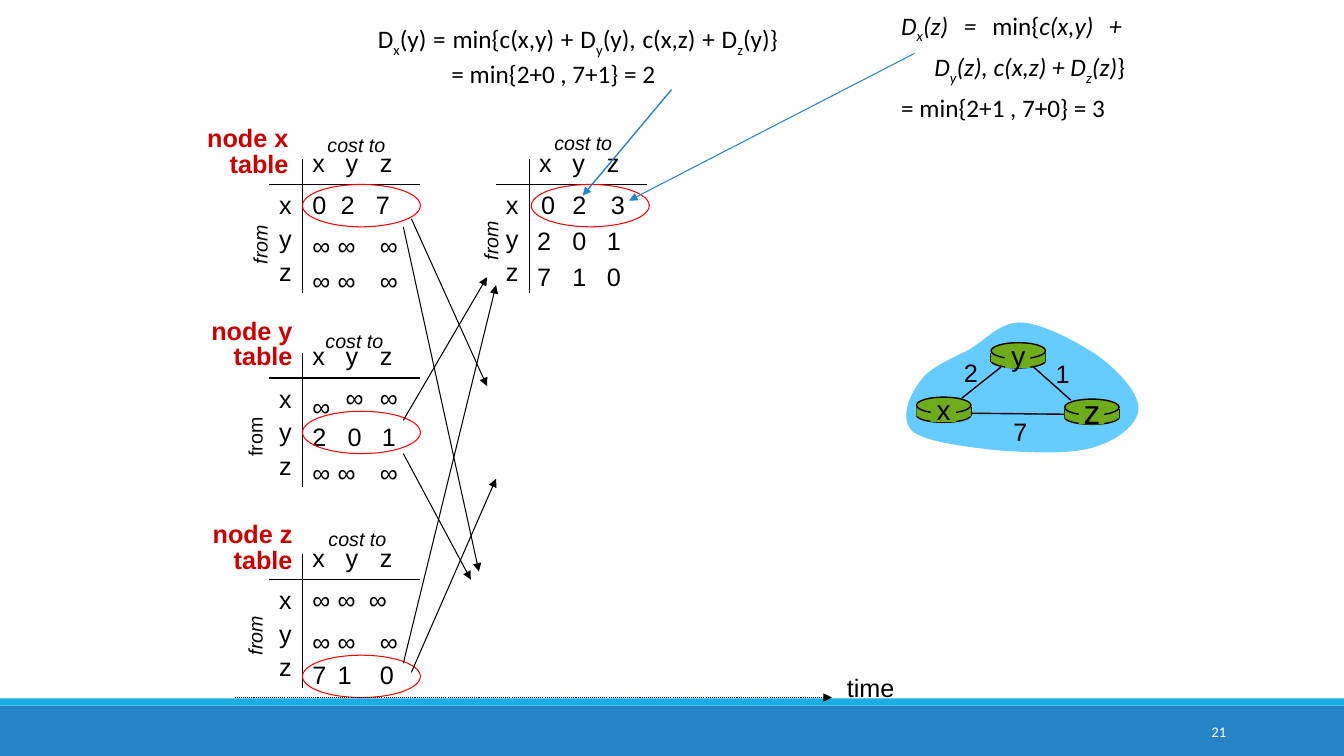
from pptx import Presentation
from pptx.dml.color import RGBColor
from pptx.enum.dml import MSO_LINE as Dash
from pptx.enum.shapes import MSO_CONNECTOR as Link, MSO_SHAPE as Kind
from pptx.enum.text import MSO_ANCHOR as Anchor, PP_ALIGN as Align
from pptx.oxml.xmlchemy import OxmlElement as Node
from pptx.util import Inches, Pt

BLACK = RGBColor(0x00, 0x00, 0x00)
WHITE = RGBColor(0xFF, 0xFF, 0xFF)
BLUE = RGBColor(0x26, 0x83, 0xC6)
CYAN = RGBColor(0x1C, 0xAD, 0xE4)
SKY = RGBColor(0x66, 0xCC, 0xFF)
GREEN = RGBColor(0x6E, 0xAC, 0x1C)
CRIMSON = RGBColor(0xCC, 0x00, 0x00)
RED = RGBColor(0xFF, 0x00, 0x00)

CLOUD_START = (9.12, 3.79)
CLOUD_CURVES = [
    ((9.21, 3.65), (9.43, 3.56), (9.61, 3.47)),
    ((9.78, 3.37), (9.93, 3.18), (10.15, 3.2)),
    ((10.37, 3.22), (10.74, 3.42), (10.93, 3.56)),
    ((11.12, 3.71), (11.31, 3.92), (11.29, 4.07)),
    ((11.28, 4.22), (11.06, 4.38), (10.84, 4.44)),
    ((10.61, 4.51), (10.22, 4.49), (9.92, 4.47)),
    ((9.63, 4.44), (9.19, 4.39), (9.05, 4.28)),
    ((8.92, 4.16), (9.02, 3.92), (9.12, 3.79)),
]


def paint(shape, fill=None, line=None, width=0.75):
    shape.shadow.inherit = False
    if fill is None:
        shape.fill.background()
    else:
        shape.fill.solid()
        shape.fill.fore_color.rgb = fill
    if line is None:
        shape.line.fill.background()
    else:
        shape.line.color.rgb = line
        shape.line.width = Pt(width)


def draw(slide, kind, at, **look):
    paint(slide.shapes.add_shape(kind, *map(Inches, at)), **look)


def line(slide, start, end, color=BLACK, width=0.75, arrow=False, dash=None):
    link = slide.shapes.add_connector(Link.STRAIGHT, *map(Inches, start + end))
    link.line.color.rgb = color
    link.line.width = Pt(width)
    if dash:
        link.line.dash_style = dash
    if arrow:
        tail = Node("a:tailEnd")
        tail.set("type", "triangle")
        link.get_or_add_ln().append(tail)
    link.element.spPr.append(Node("a:effectLst"))


def frame(slide, at, wrap=False, anchor=Anchor.TOP, turn=0):
    box = slide.shapes.add_textbox(*map(Inches, at))
    box.rotation = turn
    box.text_frame.word_wrap = wrap
    box.text_frame.vertical_anchor = anchor
    return box.text_frame


def write(par, words, size=18, font="Arial", color=BLACK, bold=False, italic=False):
    run = par.add_run()
    run.text = words
    run.font.size = Pt(size)
    run.font.name = font
    run.font.color.rgb = color
    run.font.bold = bold
    run.font.italic = italic
    return run


def label(slide, at, words, align=Align.LEFT, turn=0, **look):
    par = frame(slide, at, turn=turn).paragraphs[0]
    par.alignment = align
    write(par, words, **look)


def row(slide, x, y, words, stops):
    """One line of entries set apart by tab stops."""
    par = frame(slide, (x, y, 1.2, 0.4), wrap=True).paragraphs[0]
    write(par, "\t".join(words))
    tabs = Node("a:tabLst")
    for stop in stops:
        tab = Node("a:tab")
        tab.set("pos", str(Inches(stop)))
        tab.set("algn", "l")
        tabs.append(tab)
    par._p.get_or_add_pPr().append(tabs)


def cells(slide, x, y, words, steps=(0, 0.25, 0.67)):
    """One box for each entry, at its own step from x."""
    for word, step in zip(words, steps):
        label(slide, (x + step, y, 0.38 if word == "∞" else 0.34, 0.4), word)


def grid(slide, x, y, cost, side, slant=True):
    """Axes and headings of a distance table whose upright starts at x, y."""
    line(slide, (x, y), (x, y + 1.33))
    line(slide, (x - 0.33, y + 0.25), (x + 1.17, y + 0.25))
    row(slide, x, y - 0.17, "xyz", (0.33, 0.67))
    for i, name in enumerate("xyz"):
        label(slide, (x - 0.33, y + 0.25 + i / 3, 0.33, 0.4), name)
    label(slide, cost + (0.9, 0.33), "cost to", size=14, italic=True)
    label(slide, side + (0.59, 0.33), "from", turn=270, size=14, italic=slant)


def title(slide, right, y, node):
    body = frame(slide, (right - 1.2, y, 1.2, 0.61))
    for par, words in ((body.paragraphs[0], f"node {node}"), (body.add_paragraph(), "table")):
        par.alignment = Align.RIGHT
        par.line_spacing = 0.85
        write(par, words, color=CRIMSON, bold=True)


def formula(slide, at, hang, space, *pars):
    """Justified maths; runs are (text, style), i for italic, s for subscript."""
    body = frame(slide, at, anchor=Anchor.MIDDLE, wrap=True)
    for i, runs in enumerate(pars):
        par = body.add_paragraph() if i else body.paragraphs[0]
        par.alignment = Align.JUSTIFY
        par.line_spacing = space
        props = par._p.get_or_add_pPr()
        props.set("marL", str(Inches(hang)))
        props.set("indent", str(Inches(-hang)))
        for words, style in runs:
            if words == "\n":
                par.add_line_break()
                continue
            run = write(par, words, font="Calibri", italic="i" in style)
            if "s" in style:
                run.font._element.set("baseline", "-25000")


def cloud(slide):
    points, last = [], CLOUD_START
    for a, b, end in CLOUD_CURVES:
        for t in (i / 12 for i in range(1, 13)):
            u = 1 - t
            points.append(tuple(
                Inches(u**3 * p + 3 * u * u * t * q + 3 * u * t * t * r + t**3 * s)
                for p, q, r, s in zip(last, a, b, end)))
        last = end
    pen = slide.shapes.build_freeform(*map(Inches, CLOUD_START))
    pen.add_line_segments(points, close=True)
    paint(pen.convert_to_shape(), fill=SKY)


def router(slide, x, y, name, size=20):
    rim = dict(fill=GREEN, line=BLACK, width=1)
    draw(slide, Kind.OVAL, (x, y + 0.11, 0.54, 0.14), **rim)
    for edge in (x, x + 0.54):
        line(slide, (edge, y + 0.1), (edge, y + 0.19), width=1)
    draw(slide, Kind.RECTANGLE, (x, y + 0.1, 0.54, 0.09), fill=GREEN)
    draw(slide, Kind.OVAL, (x, y, 0.54, 0.16), **rim)
    draw(slide, Kind.RECTANGLE, (x + 0.14, y + 0.02, 0.25, 0.23), fill=GREEN)
    high = 0.5 if size > 20 else 0.43
    label(slide, (x + 0.09, y + 0.12 - high / 2, 0.36, high), name, Align.CENTER, size=size)


def network(slide):
    cloud(slide)
    for start, end in (((9.54, 3.95), (9.93, 3.64)), ((10.25, 3.64), (10.62, 3.97)),
                       ((9.64, 4.1), (10.58, 4.11))):
        line(slide, start, end, width=1)
    router(slide, 9.09, 3.94, "x")
    router(slide, 10.56, 3.96, "z", 24)
    router(slide, 9.83, 3.4, "y")
    for x, y, cost in ((10.37, 3.51, "1"), (9.46, 3.5, "2"), (9.95, 4.08, "7")):
        label(slide, (x, y, 0.34, 0.4), cost, Align.CENTER)


def tables(slide):
    grid(slide, 3, 1.58, (3.15, 1.27), (2.28, 2.26))
    row(slide, 3, 1.83, "027", (0.28, 0.63))
    grid(slide, 5.25, 1.58, (5.4, 1.25), (4.57, 2.22))
    cells(slide, 5.27, 1.83, "023", (0, 0.31, 0.69))
    for y, words in ((2.19, "201"), (2.54, "710")):
        row(slide, 5.23, y, words, (0.35, 0.69))
    grid(slide, 3, 3.5, (3.13, 3.21), (2.23, 4.17), slant=False)
    cells(slide, 3.33, 3.74, "∞∞", (0, 0.34))
    cells(slide, 3, 3.83, "∞")
    row(slide, 3, 4.13, "201", (0.35, 0.69))
    grid(slide, 3, 5.5, (3.16, 5.18), (2.23, 6.14))
    row(slide, 3, 5.75, "∞∞∞", (0.25, 0.56))
    for y, words in ((2.24, "∞∞∞"), (2.58, "∞∞∞"), (4.49, "∞∞∞"), (6.16, "∞∞∞"), (6.49, "710")):
        cells(slide, 3, y, words)
    for right, y, node in ((2.96, 1.21, "x"), (3, 3.12, "y"), (3, 5.14, "z")):
        title(slide, right, y, node)
    for x, y in ((3, 1.83), (3, 4.08), (3, 6.5), (5.27, 1.83)):
        draw(slide, Kind.OVAL, (x, y, 1.17, 0.42), line=RED)


def main():
    deck = Presentation()
    deck.slide_width, deck.slide_height = Inches(13.33), Inches(7.5)
    slide = deck.slides.add_slide(deck.slide_layouts[6])
    draw(slide, Kind.RECTANGLE, (0, 7, 13.33, 0.5), fill=BLUE)
    draw(slide, Kind.RECTANGLE, (0, 6.93, 13.33, 0.07), fill=CYAN)
    tables(slide)
    for start, end in (((4.08, 2.17), (4.83, 3.83)), ((4, 2.25), (4.75, 5.67)),
                       ((4, 4.17), (4.83, 2.75)), ((4, 4.5), (4.67, 5.75)),
                       ((4, 6.58), (4.92, 2.83)), ((4.08, 6.67), (4.92, 4.75))):
        line(slide, start, end, arrow=True)
    line(slide, (2.33, 6.92), (8.25, 6.92), arrow=True, dash=Dash.ROUND_DOT)
    label(slide, (8.3, 6.62, 0.75, 0.4), "time")
    network(slide)
    formula(slide, (3.65, 0.2, 4.23, 0.71), 0.73, 1, [
        ("D", ""), ("x", "s"), ("(y) = min{c(x,y) + D", ""), ("y", "s"),
        ("(y), c(x,z) + D", ""), ("z", "s"), ("(y)} ", ""), ("\n", ""),
        ("= min{2+0 , 7+1} = 2", "")])
    formula(slide, (8.84, 0.03, 2.54, 1.19), 0.33, 1.2, [
        ("D", "i"), ("x", "is"), ("(z) = ", "i"), ("min{", ""), ("c(x,y) + ", "i"),
        ("\n", ""), ("D", "i"), ("y", "is"), ("(z), c(x,z) + D", "i"), ("z", "is"),
        ("(z)", "i"), ("} ", "")], [("= min{2+1 , 7+0} = 3", "")])
    line(slide, (6.66, 0.89), (5.78, 1.94), BLUE, 1, arrow=True)
    line(slide, (9.07, 0.53), (6.24, 1.99), BLUE, arrow=True)
    page = frame(slide, (10.83, 7.06, 1.43, 0.4), True, Anchor.MIDDLE).paragraphs[0]
    page.alignment = Align.RIGHT
    write(page, "21", 10.5, "Calibri", WHITE)
    deck.save("out.pptx")


if __name__ == "__main__":
    main()
